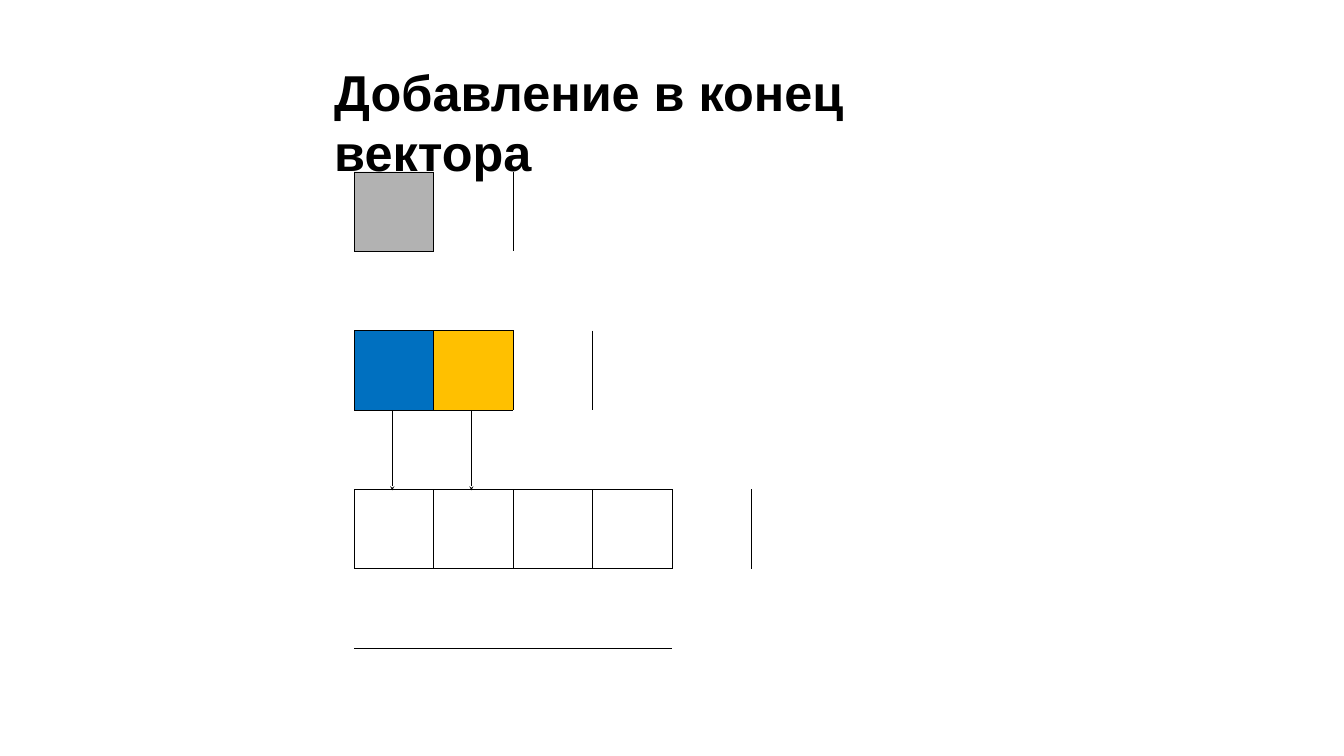
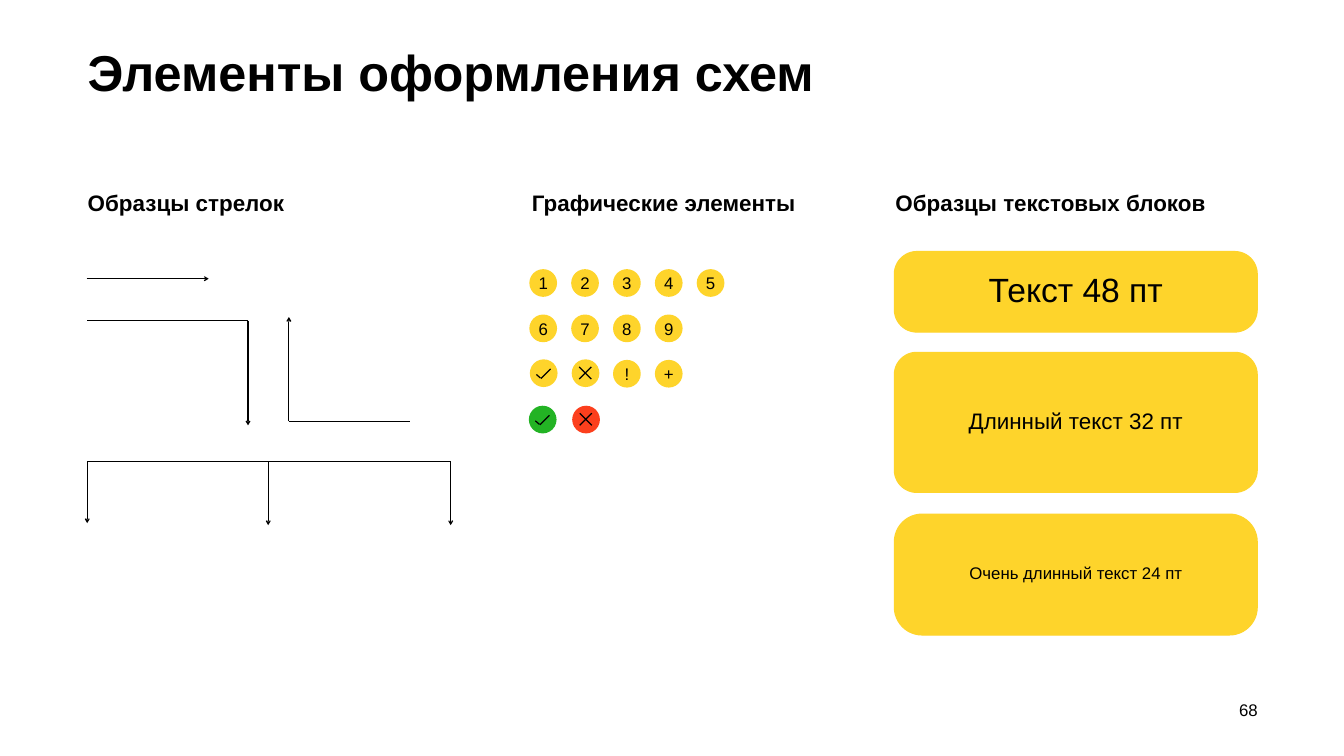
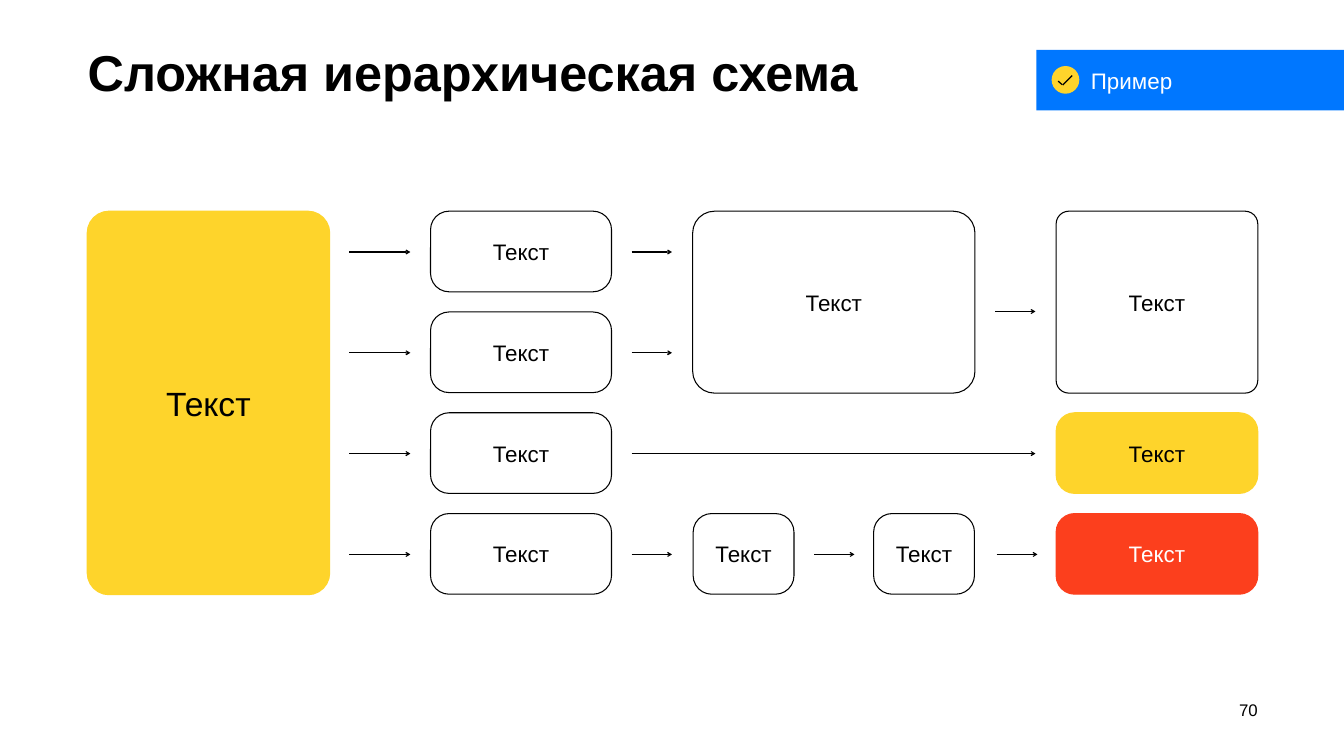
from lxml.etree import SubElement
from pptx import Presentation
from pptx.dml.color import RGBColor
from pptx.enum.shapes import MSO_CONNECTOR as CONNECTOR, MSO_SHAPE as SHAPE
from pptx.enum.text import MSO_ANCHOR as ANCHOR, PP_ALIGN as ALIGN
from pptx.oxml.ns import qn
from pptx.util import Inches, Pt

BLACK, WHITE = "000000", "FFFFFF"
YELLOW, RED, GREEN = "FED42B", "FC3F1D", "23B324"
BANNER_BLUE, CELL_BLUE, CELL_AMBER = "0077FF", "0070C0", "FFC000"
FONT = "Arial"
DOT = 0.55
BLOCK_INSETS = (0.1, 0.24, 0.1, 0.24)
NO_TABLE_STYLE = "{2D5ABB26-0587-4C30-8999-92F81FD0307C}"
color = RGBColor.from_string


def add_box(shapes, text, left, top, width, height, kind=None, radius=None,
            fill=None, line=None, size=32, ink=BLACK, bold=False,
            align=ALIGN.CENTER, anchor=ANCHOR.MIDDLE, insets=BLOCK_INSETS,
            spacing=None):
    """Add a preset shape, or a text box when kind is None."""
    place = [Inches(value) for value in (left, top, width, height)]
    if kind is None:
        shape = shapes.add_textbox(*place)
    else:
        shape = shapes.add_shape(kind, *place)
        shape.shadow.inherit = False
        if radius is not None:
            shape.adjustments[0] = radius
        if fill:
            shape.fill.solid()
            shape.fill.fore_color.rgb = color(fill)
        else:
            shape.fill.background()
        if line:
            shape.line.color.rgb = color(line)
            shape.line.width = Pt(1.5)
        else:
            shape.line.fill.background()
    if text:
        frame = shape.text_frame
        frame.word_wrap = True
        frame.vertical_anchor = anchor
        (frame.margin_left, frame.margin_top,
         frame.margin_right, frame.margin_bottom) = map(Inches, insets)
        paragraph = frame.paragraphs[0]
        paragraph.alignment = align
        if spacing:
            paragraph.line_spacing = spacing
        run = paragraph.add_run()
        run.text = text
        run.font.name = FONT
        run.font.size = Pt(size)
        run.font.bold = bold
        run.font.color.rgb = color(ink)


def add_line(shapes, x1, y1, x2, y2, width=1.5, head=None):
    """Add a straight black line, with an arrowhead at its end if given."""
    line = shapes.add_connector(CONNECTOR.STRAIGHT, *map(Inches, (x1, y1, x2, y2)))
    line.line.color.rgb = color(BLACK)
    line.line.width = Pt(width)
    if head:
        SubElement(line.line._get_or_add_ln(), qn("a:tailEnd"), type=head)
    SubElement(line._element.spPr, qn("a:effectLst"))


presentation = Presentation()
presentation.slide_width = Inches(26.66)
presentation.slide_height = Inches(15)

# Titles and slide numbers
slides = []
for title, place, number in [
    ("Добавление в конец вектора", (6.63, 0.99, 13.41, 3.06), None),
    ("Элементы оформления схем", (1.74, 0.6, 23.22, 1.59), "68"),
    ("Сложная иерархическая схема", (1.74, 0.6, 23.22, 1.59), "70"),
]:
    slide = presentation.slides.add_slide(presentation.slide_layouts[6])
    slides.append(slide)
    add_box(slide.shapes, title, *place, size=72, bold=True, align=ALIGN.LEFT,
            anchor=ANCHOR.TOP, insets=(0, 0.22, 0, 0))
    if number:
        add_box(slide.shapes, number, 23.75, 13.8, 1.2, 0.48, size=24,
                align=ALIGN.RIGHT, insets=(0, 0.08, 0, 0))
vector_shapes, elements_shapes, hierarchy_shapes = [slide.shapes for slide in slides]

# Slide 1: vector cells, stored as (row, column): (fill, opacity in percent)
CELL, COLUMNS, ROWS = 1.575, 8, 7
vector_cells = {(0, 0): (BLACK, 30), (2, 0): (CELL_BLUE, 100), (2, 1): (CELL_AMBER, 100)}
vector_cells.update({(4, column): (None, 100) for column in range(4)})
sides = {"a:lnL": (0, -1), "a:lnR": (0, 1), "a:lnT": (-1, 0), "a:lnB": (1, 0)}

table = vector_shapes.add_table(
    ROWS, COLUMNS, Inches(7.03), Inches(3.41),
    Inches(CELL * COLUMNS), Inches(CELL * ROWS)).table
table.first_row = table.horz_banding = False
table._tbl.tblPr.find(qn("a:tableStyleId")).text = NO_TABLE_STYLE
for row in range(ROWS):
    for column in range(COLUMNS):
        cell = table.cell(row, column)
        properties = cell._tc.get_or_add_tcPr()
        for side, (down, right) in sides.items():
            if (row, column) in vector_cells or (row + down, column + right) in vector_cells:
                border = SubElement(properties, qn(side), w=str(Pt(1)))
                SubElement(SubElement(border, qn("a:solidFill")), qn("a:srgbClr"), val=BLACK)
        fill, opacity = vector_cells.get((row, column), (None, 100))
        if fill:
            cell.fill.solid()
            cell.fill.fore_color.rgb = color(fill)
            if opacity < 100:
                shade = properties.find(qn("a:solidFill")).find(qn("a:srgbClr"))
                SubElement(shade, qn("a:alpha"), val=str(opacity * 1000))
        else:
            cell.fill.background()
for x in (7.78, 9.35):
    add_line(vector_shapes, x, 8.16, x, 9.73, width=2, head="stealth")

# Slide 2: column headings, sample arrows, numbered dots, text blocks
for heading, left, width in [("Образцы стрелок", 1.74, 7.2),
                             ("Графические элементы", 10.55, 6.38),
                             ("Образцы текстовых блоков", 17.76, 6.38)]:
    add_box(elements_shapes, heading, left, 3.76, width, 0.82, bold=True, spacing=0.9,
            align=ALIGN.LEFT, anchor=ANCHOR.TOP, insets=(0, 0.05, 0, 0.05))

for *ends, head in [
    (1.72, 5.53, 4.14, 5.53, "arrow"),
    (4.92, 6.36, 1.73, 6.36, None), (4.92, 6.36, 4.92, 8.44, "arrow"),
    (5.73, 8.36, 8.13, 8.36, None), (5.73, 8.36, 5.73, 6.29, "arrow"),
    (1.73, 9.16, 8.94, 9.16, None), (1.73, 9.16, 1.73, 10.38, "arrow"),
    (5.32, 9.16, 5.32, 10.42, "arrow"), (8.94, 9.16, 8.94, 10.42, "arrow"),
]:
    add_line(elements_shapes, *ends, head=head)

DOT_LEFT, DOT_TOP, DOT_STEP, DOT_ROW = 10.5, 5.34, 0.83, 0.9
for row, (first_column, symbols) in enumerate([(0, "12345"), (0, "6789"), (2, "!+")]):
    for column, symbol in enumerate(symbols, first_column):
        add_box(elements_shapes, symbol, DOT_LEFT + column * DOT_STEP,
                DOT_TOP + row * DOT_ROW, DOT, DOT, kind=SHAPE.OVAL, fill=YELLOW,
                size=24, insets=(0, 0, 0, 0))

for text, top, height, radius, size in [
    ("Текст 48 пт", 4.99, 1.6, 0.28, 48),
    ("Длинный текст 32 пт", 6.99, 2.78, 0.16, 32),
    ("Очень длинный текст 24 пт", 10.2, 2.4, 0.23, 24),
]:
    add_box(elements_shapes, text, 17.74, top, 7.2, height, kind=SHAPE.ROUNDED_RECTANGLE,
            radius=radius, fill=YELLOW, line=YELLOW, size=size, spacing=0.9)

# Slide 3: hierarchy blocks, arrows and banner
BLOCK_TOP, ARROW_TOP, LEVEL, BLOCK = 4.19, 5, 2, 1.6
level_tops = [BLOCK_TOP + level * LEVEL for level in range(4)]
blocks = [
    (1.73, BLOCK_TOP, 4.81, 7.61, 0.09, YELLOW, YELLOW, 48, BLACK),
    (13.74, BLOCK_TOP, 5.6, 3.61, 0.12, None, BLACK, 32, BLACK),
    (20.95, BLOCK_TOP, 4, 3.61, 0.07, WHITE, BLACK, 32, BLACK),
    (20.95, level_tops[2], 4, BLOCK, 0.23, YELLOW, YELLOW, 32, BLACK),
    (20.95, level_tops[3], 4, BLOCK, 0.23, RED, RED, 32, WHITE),
]
blocks += [(8.54, top, 3.59, BLOCK, 0.23, None, BLACK, 32, BLACK) for top in level_tops]
blocks += [(left, level_tops[3], 2, BLOCK, 0.23, None, BLACK, 32, BLACK)
           for left in (13.75, 17.33)]
for left, top, width, height, radius, fill, line, size, ink in blocks:
    add_box(hierarchy_shapes, "Текст", left, top, width, height,
            kind=SHAPE.ROUNDED_RECTANGLE, radius=radius, fill=fill, line=line,
            size=size, ink=ink)

arrows = [(19.74, 6.18, 20.54), (16.15, 11, 16.95), (19.77, 11, 20.58)]
for level, second_end in enumerate((13.33, 13.33, 20.54, 13.33)):
    y = ARROW_TOP + level * LEVEL
    arrows += [(6.93, y, 8.14), (12.53, y, second_end)]
for start, y, end in arrows:
    add_line(hierarchy_shapes, start, y, end, y, head="arrow")

add_box(hierarchy_shapes, "Пример", 20.56, 0.99, 6.1, 1.2, kind=SHAPE.RECTANGLE,
        fill=BANNER_BLUE, ink=WHITE, align=ALIGN.LEFT, insets=(1.08, 0.24, 0.1, 0.24))

# Check and cross badges; strokes are measured from the badge corner
CHECK = [(0.13, 0.3, 0.21, 0.37), (0.22, 0.38, 0.41, 0.19)]
CROSS = [(0.15, 0.15, 0.39, 0.39), (0.15, 0.39, 0.39, 0.15)]
for shapes, left, top, fill, strokes in [
    (elements_shapes, 10.51, 7.13, YELLOW, CHECK),
    (elements_shapes, 11.34, 7.13, YELLOW, CROSS),
    (elements_shapes, 10.49, 8.05, GREEN, CHECK),
    (elements_shapes, 11.35, 8.05, RED, CROSS),
    (hierarchy_shapes, 20.86, 1.31, YELLOW, CHECK),
]:
    badge = shapes.add_group_shape().shapes
    add_box(badge, "", left, top, DOT, DOT, kind=SHAPE.OVAL, fill=fill)
    for x1, y1, x2, y2 in strokes:
        add_line(badge, left + x1, top + y1, left + x2, top + y2, width=1.75)

presentation.save("out.pptx")
